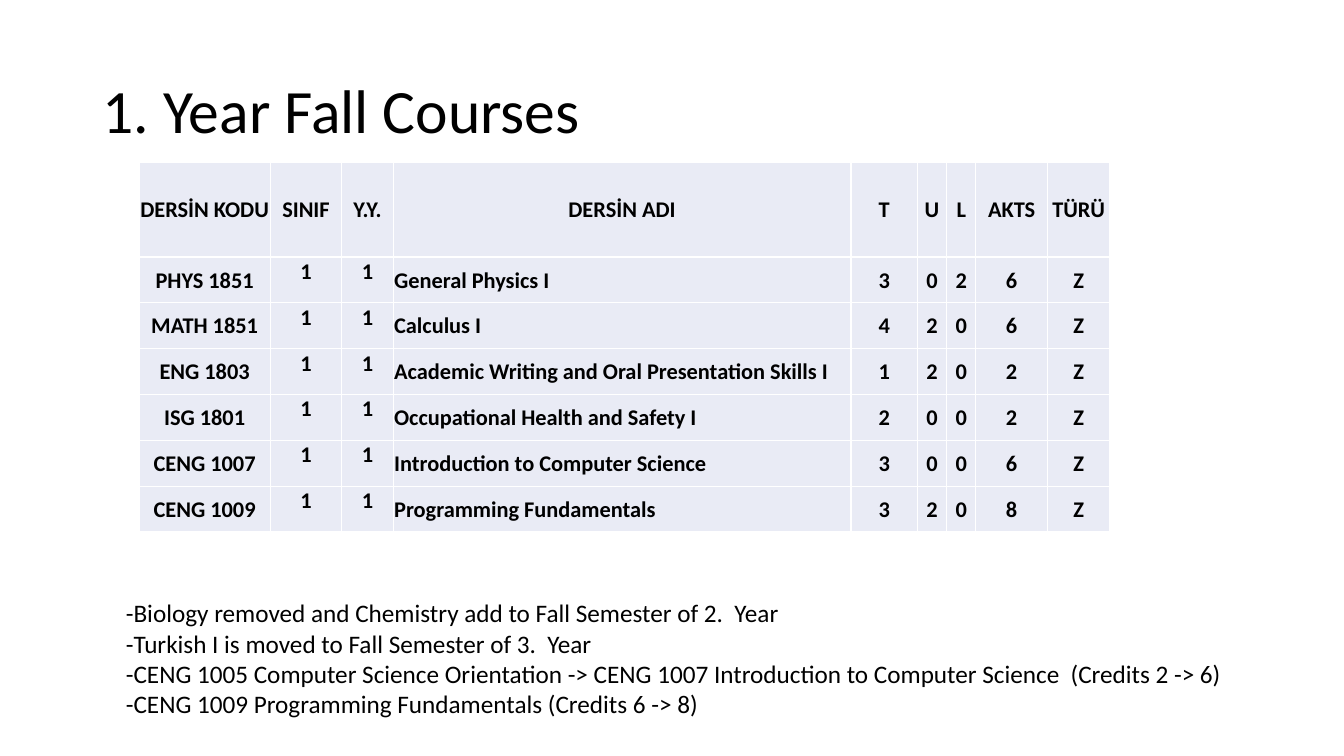
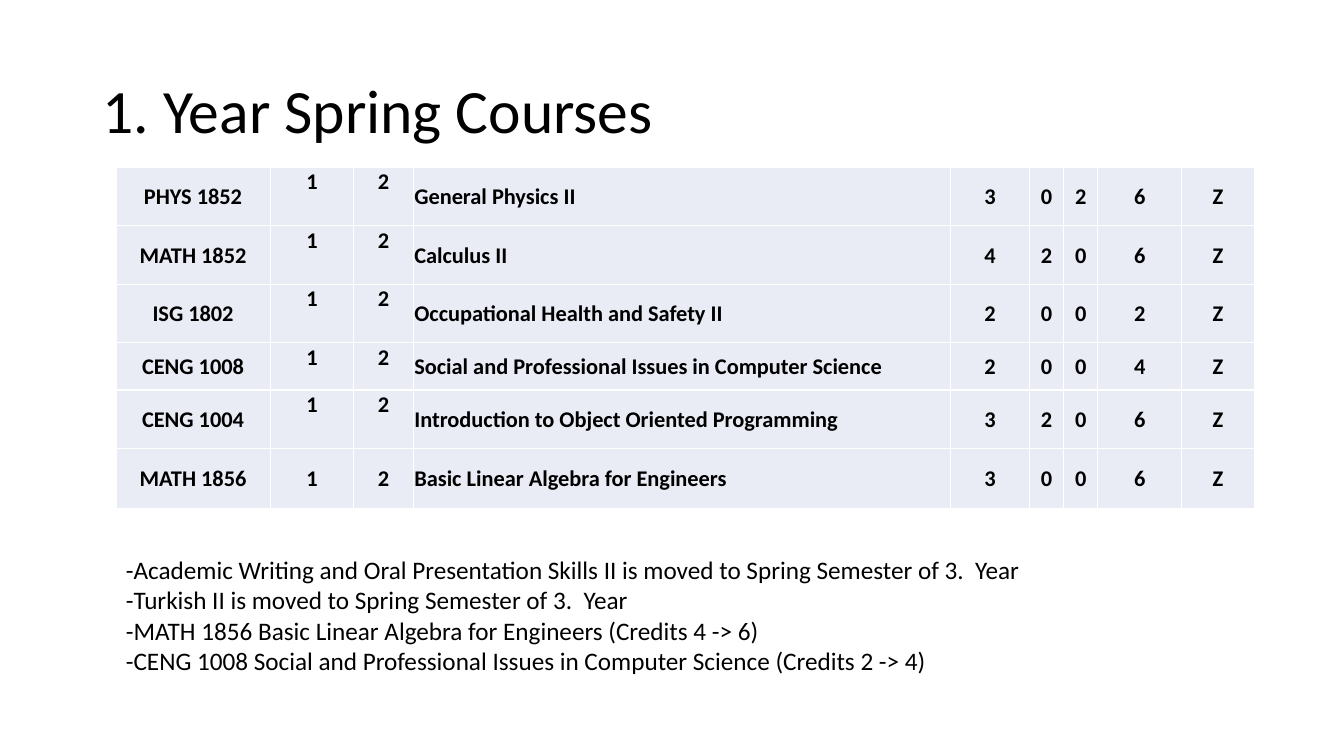
"""Build two slides that list the first-year courses of each term."""
from dataclasses import dataclass
from typing import NamedTuple

from lxml.etree import SubElement
from pptx import Presentation
from pptx.dml.color import RGBColor
from pptx.enum.text import MSO_ANCHOR as Anchor, PP_ALIGN as Align
from pptx.oxml.ns import qn
from pptx.util import Inches, Pt

FONT = "Calibri"
BLACK, WHITE, PALE = "000000", "FFFFFF", "E9EBF5"
HEAD = ("DERSİN KODU", "SINIF", "Y.Y.", "DERSİN ADI", "T", "U", "L", "AKTS", "TÜRÜ")
YEAR_COLS = (1, 2)
NAME_COL = 3


class Box(NamedTuple):
    left: float
    top: float
    width: float
    height: float


class Course(NamedTuple):
    code: str
    name: str
    hours: str
    credits: str


@dataclass
class Term:
    title: str
    number: str
    left: float
    top: float
    cols: tuple[float, ...]
    rows: tuple[float, ...]
    courses: tuple[Course, ...]
    notes: tuple[str, ...]
    note_top: float
    headed: bool = False
    middle: int = 0


TERMS = (
    Term(
        "1. Year Fall Courses", "1", 1.38, 1.61,
        (1.3, 0.71, 0.51, 4.54, 0.66, 0.29, 0.29, 0.71, 0.62),
        (0.94,) + (0.455,) * 6,
        (
            Course("PHYS 1851", "General Physics I", "302", "6"),
            Course("MATH 1851", "Calculus I", "420", "6"),
            Course("ENG 1803", "Academic Writing and Oral Presentation Skills I", "120", "2"),
            Course("ISG 1801", "Occupational Health and Safety I", "200", "2"),
            Course("CENG 1007", "Introduction to Computer Science", "300", "6"),
            Course("CENG 1009", "Programming Fundamentals", "320", "8"),
        ),
        (
            "-Biology removed and Chemistry add to Fall Semester of 2.  Year",
            "-Turkish I is moved to Fall Semester of 3.  Year",
            "-CENG 1005 Computer Science Orientation -> CENG 1007 "
            "Introduction to Computer Science  (Credits 2 -> 6)",
            "-CENG 1009 Programming Fundamentals (Credits 6 -> 8)",
        ),
        5.88, headed=True,
    ),
    Term(
        "1. Year Spring Courses", "2", 1.15, 1.66,
        (1.53, 0.83, 0.59, 5.33, 0.78, 0.34, 0.34, 0.83, 0.72),
        (0.58, 0.58, 0.58, 0.47, 0.58, 0.6),
        (
            Course("PHYS 1852", "General Physics II", "302", "6"),
            Course("MATH 1852", "Calculus II", "420", "6"),
            Course("ISG 1802", "Occupational Health and Safety II", "200", "2"),
            Course("CENG 1008", "Social and Professional Issues in Computer Science", "200", "4"),
            Course("CENG 1004", "Introduction to Object Oriented Programming", "320", "6"),
            Course("MATH 1856", "Basic Linear Algebra for Engineers", "300", "6"),
        ),
        (
            "-Academic Writing and Oral Presentation Skills II is moved to "
            "Spring Semester of 3.  Year",
            "-Turkish II is moved to Spring Semester of 3.  Year",
            "-MATH 1856 Basic Linear Algebra for Engineers (Credits 4 -> 6)",
            "-CENG 1008 Social and Professional Issues in Computer Science (Credits 2 -> 4)",
        ),
        5.45, middle=5,
    ),
)


def color(code: str) -> RGBColor:
    return RGBColor.from_string(code)


def style(para, size: float, bold: bool = False) -> None:
    font = para.font
    font.name, font.size, font.bold = FONT, Pt(size), bold
    font.color.rgb = color(BLACK)


def add_text(slide, box: Box, lines: tuple[str, ...], size: float,
             anchor: Anchor = Anchor.TOP, space: float = 1.0) -> None:
    frame = slide.shapes.add_textbox(*map(Inches, box)).text_frame
    frame.word_wrap = True
    frame.vertical_anchor = anchor
    frame.text = "\n".join(lines)
    for para in frame.paragraphs:
        para.line_spacing = space
        style(para, size)


def add_edges(cell) -> None:
    props = cell._tc.get_or_add_tcPr()
    for side in ("lnL", "lnR", "lnT", "lnB"):
        line = SubElement(props, qn(f"a:{side}"), w=str(Pt(1)))
        SubElement(SubElement(line, qn("a:solidFill")), qn("a:srgbClr"), val=WHITE)


def fill_cell(cell, text: str, align: Align, anchor: Anchor) -> None:
    add_edges(cell)
    cell.fill.solid()
    cell.fill.fore_color.rgb = color(PALE)
    cell.margin_left = cell.margin_right = cell.margin_top = Inches(0.01)
    cell.margin_bottom = 0
    cell.vertical_anchor = anchor
    cell.text = text
    para = cell.text_frame.paragraphs[0]
    para.alignment = align
    style(para, 16, True)


def add_grid(slide, term: Term) -> None:
    data = [HEAD] if term.headed else []
    data += [(c.code, "1", term.number, c.name, *c.hours, c.credits, "Z")
             for c in term.courses]
    box = Box(term.left, term.top, sum(term.cols), sum(term.rows))
    grid = slide.shapes.add_table(len(data), len(HEAD), *map(Inches, box)).table
    grid.first_row = grid.horz_banding = False
    for col, width in zip(grid.columns, term.cols):
        col.width = Inches(width)
    for r, (row, height) in enumerate(zip(data, term.rows)):
        grid.rows[r].height = Inches(height)
        for c, text in enumerate(row):
            left = c == NAME_COL and row is not HEAD
            high = c in YEAR_COLS and r != term.middle
            fill_cell(grid.cell(r, c), text,
                      Align.LEFT if left else Align.CENTER,
                      Anchor.TOP if high else Anchor.MIDDLE)


def add_term(deck, term: Term) -> None:
    slide = deck.slides.add_slide(deck.slide_layouts[6])
    add_text(slide, Box(0.92, 0.4, 11.5, 1.45), (term.title,), 44, Anchor.MIDDLE, 0.9)
    add_grid(slide, term)
    add_text(slide, Box(1.15, term.note_top, 11.76, 1.62), term.notes, 18)


def main() -> None:
    deck = Presentation()
    deck.slide_width, deck.slide_height = Inches(13.33), Inches(7.5)
    for term in TERMS:
        add_term(deck, term)
    deck.save("out.pptx")


main()
